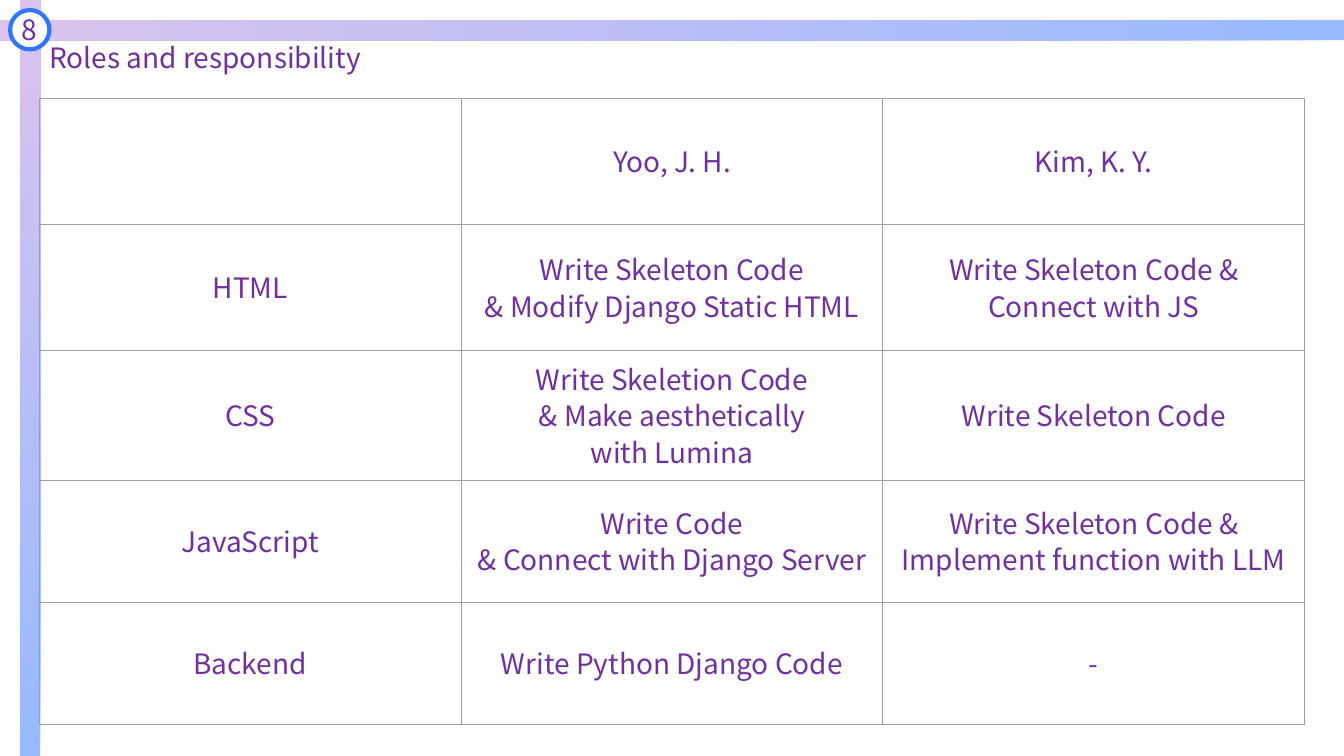
"""Build the slide on roles and responsibility."""
from dataclasses import dataclass

from lxml import etree
from pptx import Presentation
from pptx.dml.color import RGBColor
from pptx.enum import shapes, text
from pptx.oxml.ns import qn
from pptx.util import Inches, Pt


@dataclass(frozen=True)
class Theme:
    font: str = "Noto Sans CJK KR"
    size: int = 20
    spacing: float = 0.9
    ink: str = "7030A0"
    blue: str = "2F75FF"
    lilac: str = "B988DD"
    paper: str = "FFFFFF"
    grid: str = "9E9E9E"
    grid_pt: float = 0.75
    ring_pt: float = 3
    opacity: int = 50


@dataclass(frozen=True)
class Box:
    left: float
    top: float
    width: float
    height: float

    def lengths(self) -> tuple:
        return tuple(Inches(v) for v in (self.left, self.top, self.width, self.height))


@dataclass(frozen=True)
class Band:
    box: Box
    angle: int


THEME = Theme()
BANDS = (
    Band(Box(0, 0.2, 13.33, 0.2), 180),
    Band(Box(0.2, 0, 0.2, 7.5), 90),
)
BADGE = Box(0.1, 0.1, 0.39, 0.39)
TITLE = Box(0.39, 0.39, 12.55, 0.39)
TABLE = Box(0.39, 0.98, 12.55, 6.13)
ROW_HEIGHTS = (1.25, 1.25, 1.21, 1.21, 1.21)
ROLES = (
    ("", "Yoo, J. H.", "Kim, K. Y."),
    ("HTML", "Write Skeleton Code\n& Modify Django Static HTML",
     "Write Skeleton Code & Connect with JS"),
    ("CSS", "Write Skeletion Code\n& Make aesthetically\nwith Lumina",
     "Write Skeleton Code"),
    ("JavaScript", "Write Code\n& Connect with Django Server",
     "Write Skeleton Code & Implement function with LLM"),
    ("Backend", "Write Python Django Code", "-"),
)


def rgb(value: str) -> RGBColor:
    return RGBColor.from_string(value)


def write(tf, content: str, align, spacing: float = 1.0) -> None:
    tf.text = content
    for p in tf.paragraphs:
        p.alignment = align
        p.line_spacing = spacing
        p.space_before = Pt(0)
        p.font.name = THEME.font
        p.font.size = Pt(THEME.size)
        p.font.bold = False
        p.font.color.rgb = rgb(THEME.ink)


def add_band(s, band: Band) -> None:
    sp = s.shapes.add_shape(shapes.MSO_SHAPE.RECTANGLE, *band.box.lengths())
    sp.shadow.inherit = False
    sp.line.fill.background()
    sp.fill.gradient()
    sp.fill.gradient_angle = band.angle
    for stop, color in zip(sp.fill.gradient_stops, (THEME.blue, THEME.lilac)):
        stop.color.rgb = rgb(color)
    for clr in sp.fill._xPr.iter(qn("a:srgbClr")):
        etree.SubElement(clr, qn("a:alpha"), val=str(THEME.opacity * 1000))


def add_badge(s, box: Box, number: str) -> None:
    sp = s.shapes.add_shape(shapes.MSO_SHAPE.OVAL, *box.lengths())
    sp.shadow.inherit = False
    sp.fill.solid()
    sp.fill.fore_color.rgb = rgb(THEME.paper)
    sp.line.color.rgb = rgb(THEME.blue)
    sp.line.width = Pt(THEME.ring_pt)
    tf = sp.text_frame
    tf.word_wrap = False
    tf.vertical_anchor = text.MSO_ANCHOR.MIDDLE
    write(tf, number, text.PP_ALIGN.CENTER)


def set_title(s, box: Box, content: str) -> None:
    sp = s.shapes.title
    sp.left, sp.top, sp.width, sp.height = box.lengths()
    tf = sp.text_frame
    tf.vertical_anchor = text.MSO_ANCHOR.MIDDLE
    write(tf, content, text.PP_ALIGN.LEFT, THEME.spacing)


def set_borders(cell) -> None:
    tcPr = cell._tc.get_or_add_tcPr()
    for i, side in enumerate(("lnL", "lnR", "lnT", "lnB")):
        ln = etree.Element(qn(f"a:{side}"), w=str(Pt(THEME.grid_pt)))
        fill = etree.SubElement(ln, qn("a:solidFill"))
        etree.SubElement(fill, qn("a:srgbClr"), val=THEME.grid)
        tcPr.insert(i, ln)


def add_roles(s, box: Box, rows: tuple) -> None:
    table = s.shapes.add_table(len(rows), len(rows[0]), *box.lengths()).table
    table.first_row = table.horz_banding = False
    for col in table.columns:
        col.width = Inches(box.width / len(rows[0]))
    for r, (height, contents) in enumerate(zip(ROW_HEIGHTS, rows)):
        table.rows[r].height = Inches(height)
        for c, content in enumerate(contents):
            cell = table.cell(r, c)
            cell.fill.background()
            cell.vertical_anchor = text.MSO_ANCHOR.MIDDLE
            cell.margin_left = cell.margin_right = Inches(0.1)
            cell.margin_top = cell.margin_bottom = Inches(0.1)
            write(cell.text_frame, content, text.PP_ALIGN.CENTER, THEME.spacing)
            set_borders(cell)


def main() -> None:
    prs = Presentation()
    prs.slide_width, prs.slide_height = Inches(13.33), Inches(7.5)
    s = prs.slides.add_slide(prs.slide_layouts.get_by_name("Title Only"))
    for band in BANDS:
        add_band(s, band)
    add_badge(s, BADGE, "8")
    set_title(s, TITLE, "Roles and responsibility")
    add_roles(s, TABLE, ROLES)
    prs.save("out.pptx")


if __name__ == "__main__":
    main()
